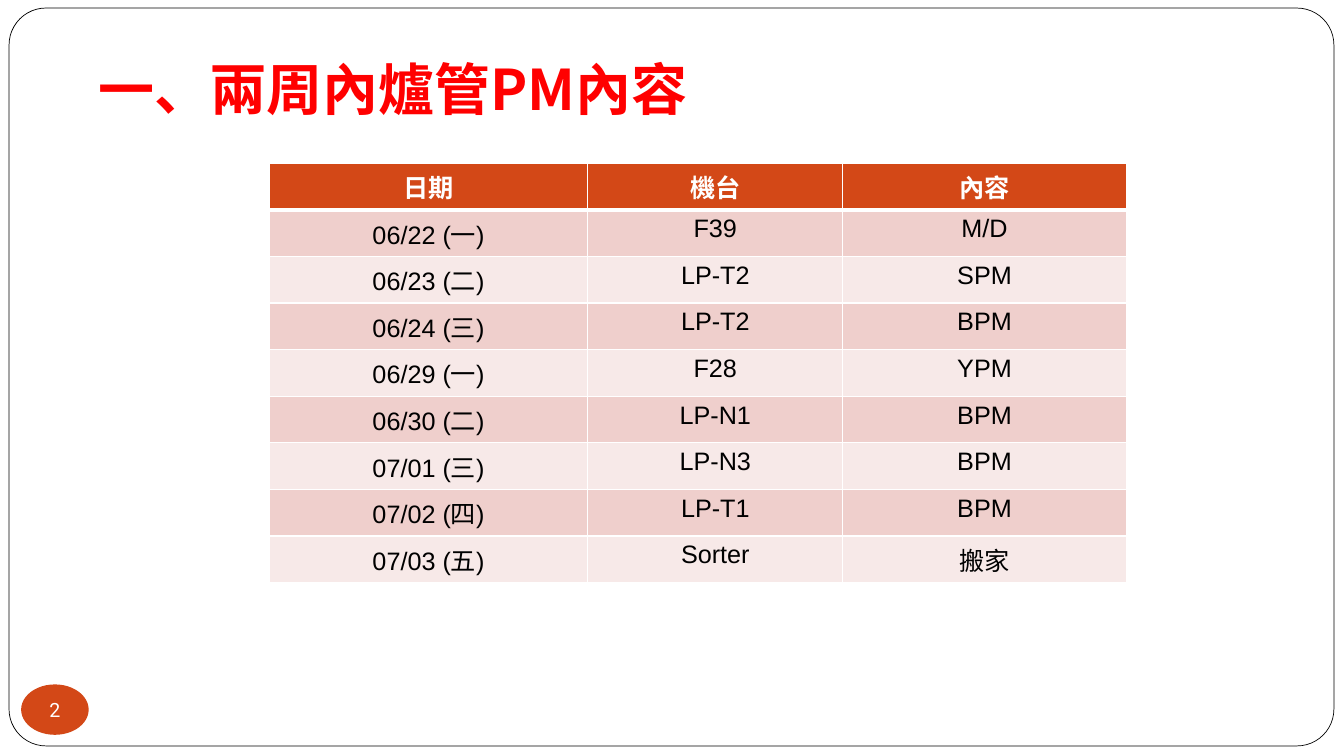
from lxml import etree
from pptx import Presentation
from pptx.dml.color import RGBColor
from pptx.enum.shapes import MSO_SHAPE
from pptx.enum.text import MSO_ANCHOR, MSO_AUTO_SIZE, PP_ALIGN
from pptx.oxml.ns import qn
from pptx.util import Pt

SCALE = 9144
ROUND, OVAL = MSO_SHAPE.ROUNDED_RECTANGLE, MSO_SHAPE.OVAL
LEFT, CENTER = PP_ALIGN.LEFT, PP_ALIGN.CENTER
BOTTOM, MIDDLE = MSO_ANCHOR.BOTTOM, MSO_ANCHOR.MIDDLE
FIXED = MSO_AUTO_SIZE.NONE
CJK = "Noto Sans CJK SC"
WHITE, BLACK, RED, RUST = "FFFFFF", "000000", "FF0000", "D34817"
BANDS = ["EFCFCC", "F7E9E8"]
COLS = [316, 253, 281]
ROWS = [
    ("日期", "機台", "內容"),
    ("06/22 (一)", "F39", "M/D"),
    ("06/23 (二)", "LP-T2", "SPM"),
    ("06/24 (三)", "LP-T2", "BPM"),
    ("06/29 (一)", "F28", "YPM"),
    ("06/30 (二)", "LP-N1", "BPM"),
    ("07/01 (三)", "LP-N3", "BPM"),
    ("07/02 (四)", "LP-T1", "BPM"),
    ("07/03 (五)", "Sorter", "搬家"),
]
HEAD = dict(size=Pt(18), name="Calibri", bold=True)
CELL = dict(size=Pt(18), name="Arial", bold=False)
TITLE = dict(size=Pt(40), name=CJK, bold=True)
BADGE = dict(size=Pt(14), name="Roboto", bold=False)


def px(*vals):
    """Turn px lengths into EMU."""
    return [round(val * SCALE) for val in vals]


def tint(hue):
    """Turn a hex string into a colour."""
    return RGBColor.from_string(hue)


def apply(item, form):
    """Set attributes from a dict."""
    for key, val in form.items():
        setattr(item, key, val)


def write(frame, text, form, hue, align):
    """Put one styled paragraph into a text frame."""
    para = frame.paragraphs[0]
    para.alignment = align
    run = para.add_run()
    run.text = text
    apply(run.font, form)
    run.font.color.rgb = tint(hue)
    ea = etree.SubElement(run.font._element, qn("a:ea"))
    ea.set("typeface", CJK)


def inset(frame, *pads):
    """Set left, top, right and bottom insets."""
    sides = ("margin_left", "margin_top", "margin_right", "margin_bottom")
    apply(frame, dict(zip(sides, px(*pads))))


def add_frame(slide, box):
    """Draw the rounded page border behind everything."""
    card = slide.shapes.add_shape(ROUND, *px(*box))
    card.adjustments[0] = 0.05
    card.shadow.inherit = False
    card.fill.solid()
    card.fill.fore_color.rgb = tint(WHITE)
    card.line.color.rgb = tint(BLACK)
    card.line.width = Pt(0.5)
    slide.shapes._spTree.insert(2, card._element)


def add_title(slide, box, text):
    """Place and format the title."""
    title = slide.shapes.title
    apply(title, dict(zip(("left", "top", "width", "height"), px(*box))))
    frame = title.text_frame
    apply(frame, dict(word_wrap=True, auto_size=FIXED, vertical_anchor=BOTTOM))
    inset(frame, 10, 5, 10, 10)
    write(frame, text, TITLE, RED, LEFT)


def edge(cell, top, base):
    """Give a cell white borders with the given top and bottom widths."""
    props = cell._tc.get_or_add_tcPr()
    for side, width in zip("LRTB", (1, 1, top, base)):
        line = etree.SubElement(props, qn("a:ln" + side), w=str(Pt(width)))
        fill = etree.SubElement(line, qn("a:solidFill"))
        etree.SubElement(fill, qn("a:srgbClr"), val=WHITE)


def add_plan(slide, box):
    """Build the schedule table."""
    grid = slide.shapes.add_table(len(ROWS), len(COLS), *px(*box)).table
    for col, width in zip(grid.columns, COLS):
        col.width = px(width)[0]
    for i, row in enumerate(ROWS):
        form, ink, back = CELL, BLACK, BANDS[(i + 1) % 2]
        if i == 0:
            form, ink, back = HEAD, WHITE, RUST
        for j, text in enumerate(row):
            cell = grid.cell(i, j)
            edge(cell, 3 if i == 1 else 1, 3 if i == 0 else 1)
            cell.fill.solid()
            cell.fill.fore_color.rgb = tint(back)
            inset(cell, 10, 5, 10, 5)
            write(cell.text_frame, text, form, ink, CENTER)


def add_badge(slide, box, text):
    """Draw the page number oval."""
    badge = slide.shapes.add_shape(OVAL, *px(*box))
    badge.shadow.inherit = False
    badge.fill.solid()
    badge.fill.fore_color.rgb = tint(RUST)
    badge.line.fill.background()
    frame = badge.text_frame
    apply(frame, dict(word_wrap=False, vertical_anchor=MIDDLE))
    inset(frame, 0, 0, 0, 0)
    write(frame, text, BADGE, WHITE, CENTER)


def main():
    """Build and save the slide."""
    deck = Presentation()
    deck.slide_width, deck.slide_height = px(1333, 750)
    slide = deck.slides.add_slide(deck.slide_layouts[5])
    add_frame(slide, (9, 8, 1314, 732))
    add_title(slide, (88, 36, 1133, 95), "一、兩周內爐管PM內容")
    add_plan(slide, (267, 162, sum(COLS), 416))
    add_badge(slide, (21, 679, 67, 50), "2")
    deck.save("out.pptx")


if __name__ == "__main__":
    main()
